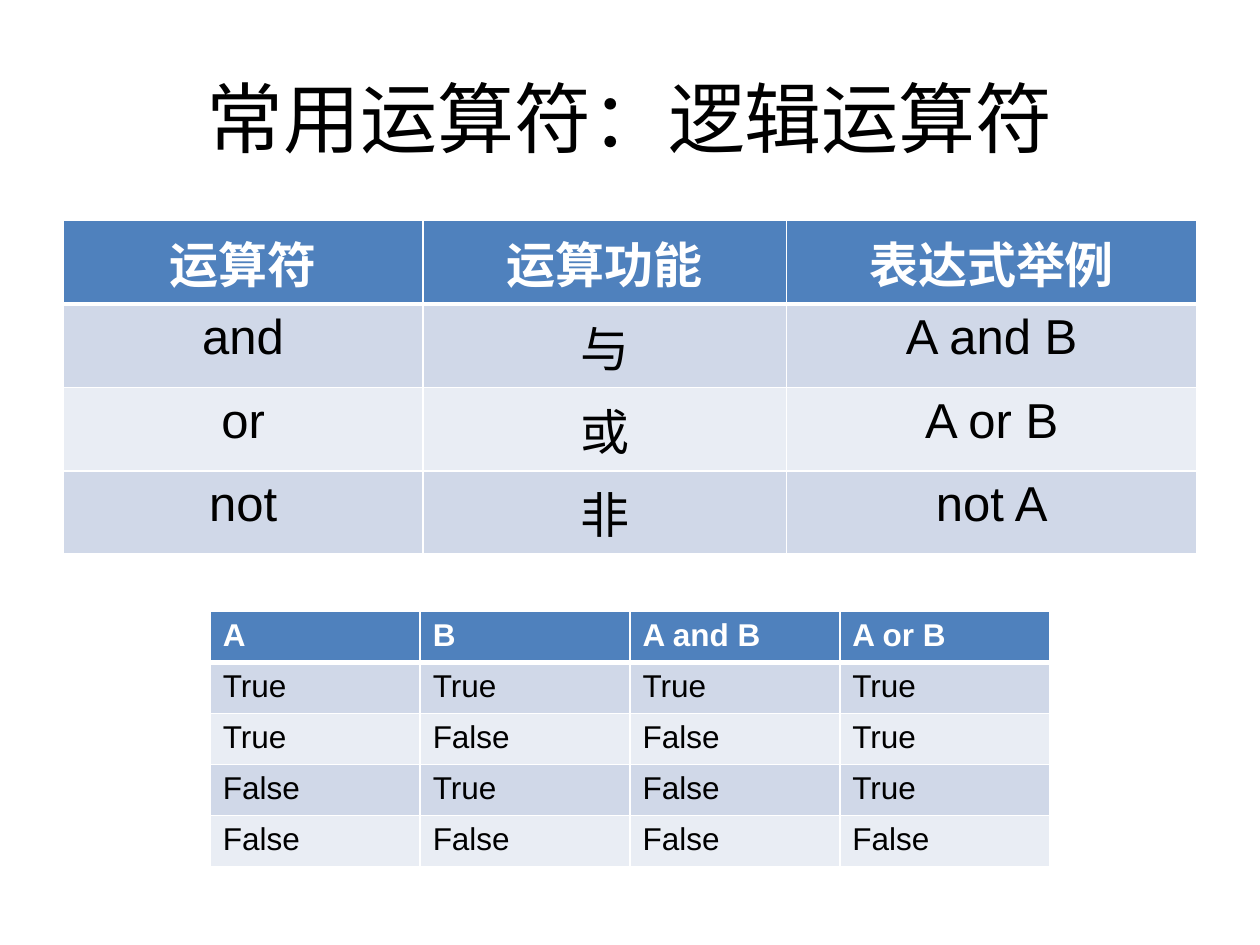
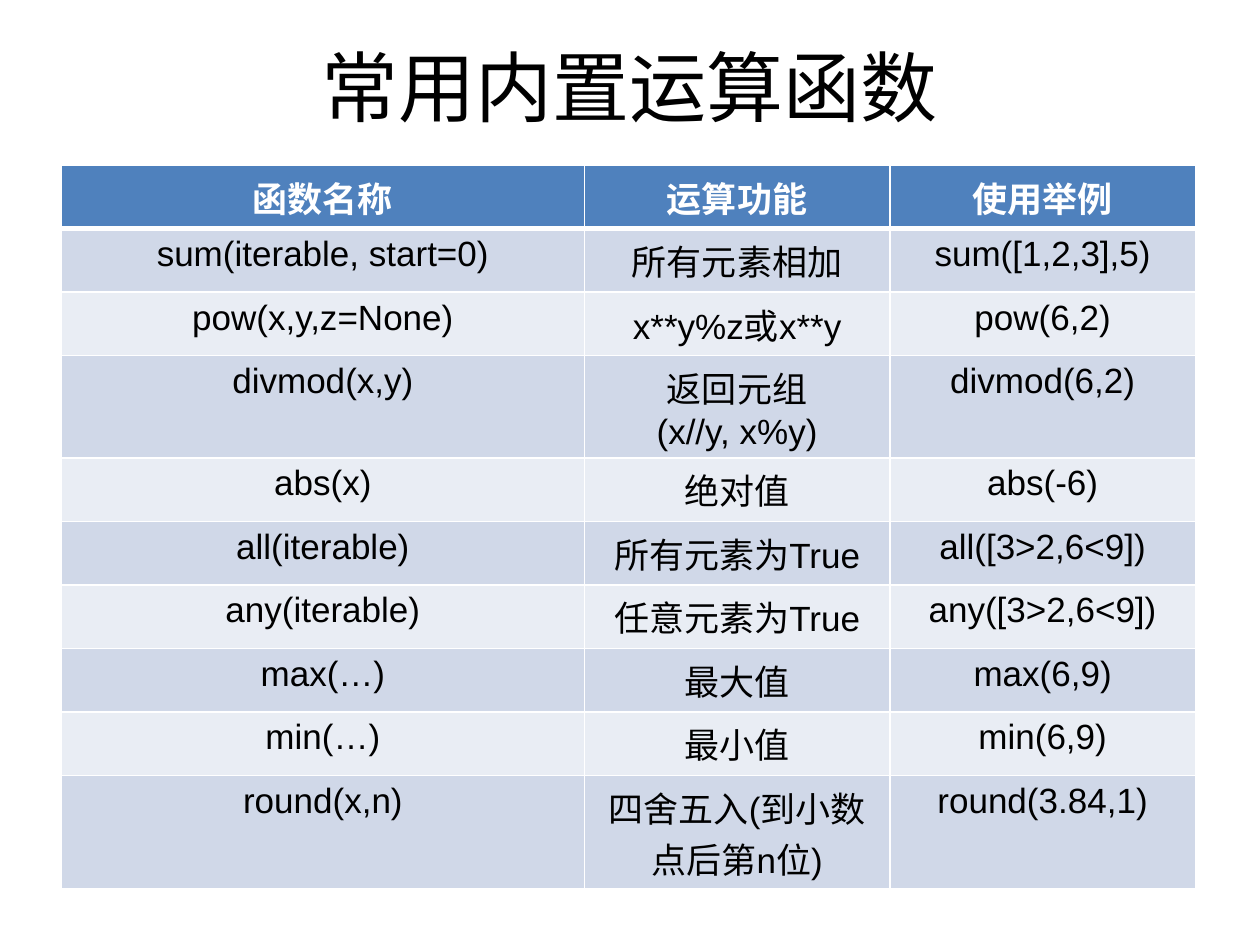
from dataclasses import dataclass

from lxml import etree
from pptx import Presentation, util as u
from pptx.dml.color import RGBColor
from pptx.enum import text
from pptx.oxml.ns import qn


@dataclass(frozen=True)
class Theme:
    ink: str = "000000"
    paper: str = "FFFFFF"
    header: str = "4F81BD"
    bands: tuple = ("D0D8E8", "E9EDF4")
    title_font: str = "Courier New"
    body_font: str = "Arial"
    title_size: int = 44
    large: int = 28
    medium: int = 20
    small: int = 18
    rule: int = 1
    header_rule: int = 3


T = Theme()
CENTER = text.PP_ALIGN.CENTER
LEFT = text.PP_ALIGN.LEFT

OPERATORS = [
    ("运算符", "运算功能", "表达式举例"),
    ("and", "与", "A and B"),
    ("or", "或", "A or B"),
    ("not", "非", "not A"),
]

TRUTH = [("A", "B", "A and B", "A or B")] + [
    (str(a), str(b), str(a and b), str(a or b))
    for a in (True, False) for b in (True, False)
]

FUNCTIONS = [
    ("函数名称", "运算功能", "使用举例"),
    ("sum(iterable, start=0)", "所有元素相加", "sum([1,2,3],5)"),
    ("pow(x,y,z=None)", "x**y%z或x**y", "pow(6,2)"),
    ("divmod(x,y)", "返回元组\n(x//y, x%y)", "divmod(6,2)"),
    ("abs(x)", "绝对值", "abs(-6)"),
    ("all(iterable)", "所有元素为True", "all([3>2,6<9])"),
    ("any(iterable)", "任意元素为True", "any([3>2,6<9])"),
    ("max(…)", "最大值", "max(6,9)"),
    ("min(…)", "最小值", "min(6,9)"),
    ("round(x,n)", "四舍五入(到小数点后第n位)", "round(3.84,1)"),
]
FUNCTION_HEIGHTS = [1.28] * 3 + [2.06] + [1.28] * 5 + [2.28]


def format_text(tf, font, size, color, align, bold=False):
    for p in tf.paragraphs:
        p.alignment = align
        for r in p.runs:
            r.font.name = font
            r.font.size = u.Pt(size)
            r.font.bold = bold
            r.font.color.rgb = RGBColor.from_string(color)


def add_title(s, title, top):
    sp = s.shapes.add_textbox(u.Cm(1.27), u.Cm(top), u.Cm(22.86), u.Cm(3.18))
    tf = sp.text_frame
    tf.word_wrap = True
    tf.vertical_anchor = text.MSO_ANCHOR.MIDDLE
    tf.text = title
    format_text(tf, T.title_font, T.title_size, T.ink, CENTER)


def set_borders(cell, row):
    widths = {
        "a:lnL": T.rule,
        "a:lnR": T.rule,
        "a:lnT": T.header_rule if row == 1 else T.rule,
        "a:lnB": T.header_rule if row == 0 else T.rule,
    }
    tcPr = cell._tc.get_or_add_tcPr()
    for tag, width in widths.items():
        ln = etree.SubElement(tcPr, qn(tag), w=str(u.Pt(width)))
        fill = etree.SubElement(ln, qn("a:solidFill"))
        etree.SubElement(fill, qn("a:srgbClr"), val=T.paper)


def format_cell(cell, row, value, size, align):
    is_header = row == 0
    set_borders(cell, row)
    cell.fill.solid()
    cell.fill.fore_color.rgb = RGBColor.from_string(
        T.header if is_header else T.bands[(row - 1) % 2])
    cell.text_frame.text = value
    format_text(cell.text_frame, T.body_font, size,
                T.paper if is_header else T.ink, align, is_header)


def add_grid(s, rows, left, top, widths, heights, size, align=CENTER):
    frame = s.shapes.add_table(
        len(rows), len(widths), u.Cm(left), u.Cm(top),
        u.Cm(sum(widths)), u.Cm(sum(heights)))
    table = frame.table
    for column, width in zip(table.columns, widths):
        column.width = u.Cm(width)
    for i, (values, height) in enumerate(zip(rows, heights)):
        table.rows[i].height = u.Cm(height)
        for j, value in enumerate(values):
            format_cell(table.cell(i, j), i, value, size, align)


def add_operators_slide(prs):
    s = prs.slides.add_slide(prs.slide_layouts[6])
    add_title(s, "常用运算符：逻辑运算符", 0.76)
    add_grid(s, OPERATORS, 1.27, 4.45, (7.26, 7.32, 8.28),
             [1.68] * len(OPERATORS), T.large)
    add_grid(s, TRUTH, 4.24, 12.32, [4.23] * 4,
             [1.03] * len(TRUTH), T.small, LEFT)


def add_functions_slide(prs):
    s = prs.slides.add_slide(prs.slide_layouts[6])
    add_title(s, "常用内置运算函数", 0.13)
    add_grid(s, FUNCTIONS, 1.24, 3.33, (10.54, 6.16, 6.16),
             FUNCTION_HEIGHTS, T.medium)


def main():
    prs = Presentation()
    prs.slide_width = u.Cm(25.4)
    prs.slide_height = u.Cm(19.05)
    add_operators_slide(prs)
    add_functions_slide(prs)
    prs.save("out.pptx")


if __name__ == "__main__":
    main()
